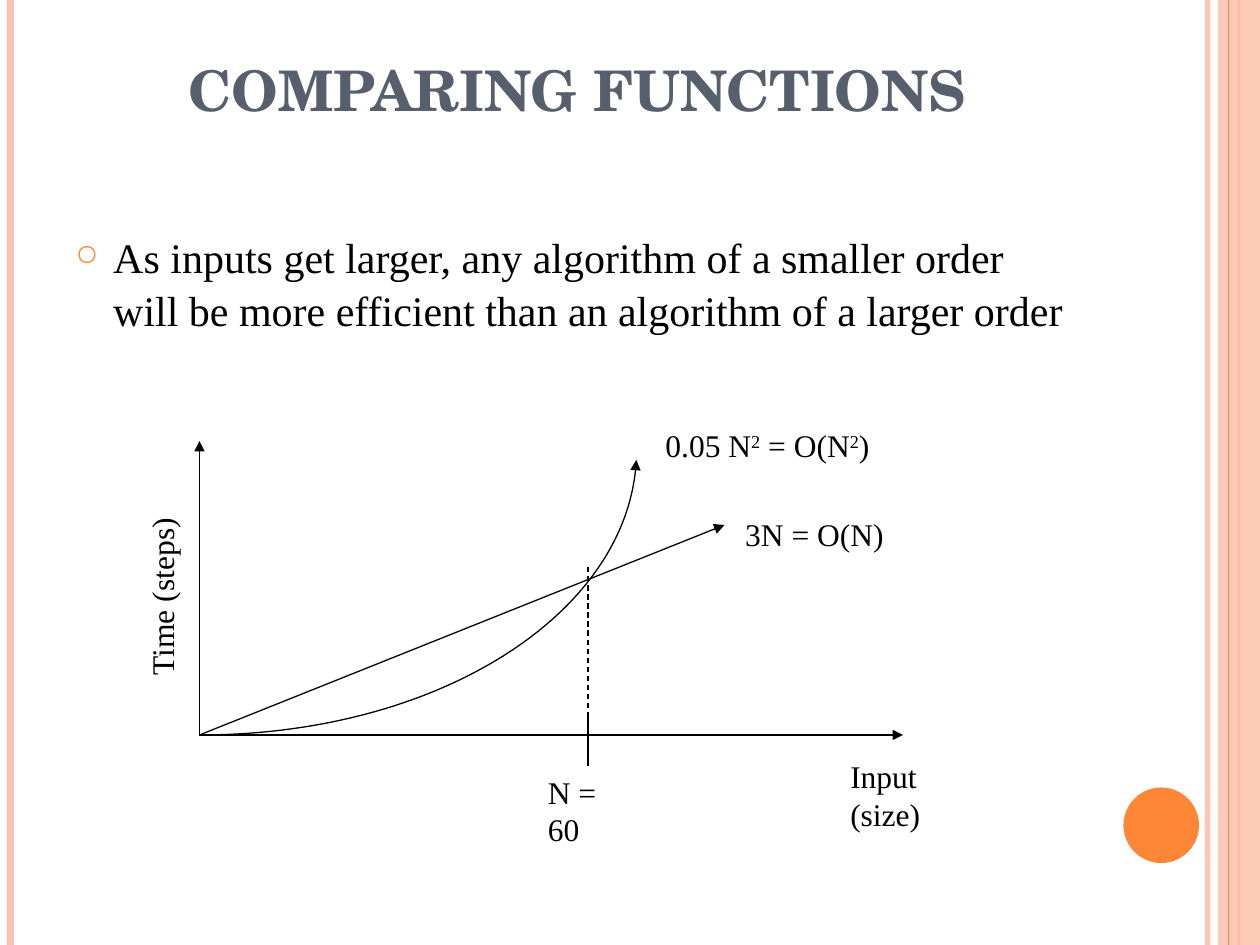
from dataclasses import dataclass

from pptx import Presentation
from pptx.dml.color import RGBColor as Rgb
from pptx.enum.dml import MSO_LINE as Dash
from pptx.enum.shapes import MSO_CONNECTOR as Link, MSO_SHAPE as Kind
from pptx.enum.text import MSO_ANCHOR as Anchor, PP_ALIGN as Align
from pptx.oxml.ns import qn
from pptx.oxml.xmlchemy import OxmlElement as Node
from pptx.util import Inches, Pt

HUES = {"peach": "FEC3AE", "orange": "FE8637", "slate": "575F6D", "ink": "000000"}
SERIF = "Times New Roman"
COLS, ROWS = 120, 90  # square cells, twelve to the inch


@dataclass
class Line:
    x1: float
    y1: float
    x2: float
    y2: float
    hue: str = "ink"
    width: float = 0.75
    arrow: bool = False
    dash: bool = False
    alpha: int = 100


@dataclass
class Label:
    text: str  # parts between carets are superscript
    x: float
    y: float
    wide: float
    turn: int = 0


def cells(n: float) -> int:
    return round(deck.slide_width * n / COLS)


def color(name: str) -> Rgb:
    return Rgb.from_string(HUES[name])


def add(parent, tag: str, **attrs):
    node = Node(tag)
    for key, value in attrs.items():
        node.set(key, str(value))
    parent.append(node)
    return node


def fade(parent, alpha: int) -> None:
    if alpha < 100:
        add(next(parent.iter(qn("a:srgbClr"))), "a:alpha", val=alpha * 1000)


def stroke(line, hue: str = "ink", width: float = 0.75, arrow: bool = False) -> None:
    line.color.rgb = color(hue)
    line.width = Pt(width)
    if arrow:
        add(line._get_or_add_ln(), "a:tailEnd", type="triangle")


def draw_line(item: Line) -> None:
    ends = map(cells, (item.x1, item.y1, item.x2, item.y2))
    link = slide.shapes.add_connector(Link.STRAIGHT, *ends)
    if item.dash:
        link.line.dash_style = Dash.DASH
    stroke(link.line, item.hue, item.width, item.arrow)
    fade(link.line._get_or_add_ln(), item.alpha)
    add(link._element.spPr, "a:effectLst")


def draw_block(kind: Kind, box: tuple, hue: str, alpha: int = 100) -> None:
    shape = slide.shapes.add_shape(kind, *map(cells, box))
    shape.shadow.inherit = False
    shape.fill.solid()
    shape.fill.fore_color.rgb = color(hue)
    shape.line.fill.background()
    fade(shape._element.spPr, alpha)


def draw_curve(*points: tuple) -> None:
    """Draw a cubic curve from a start, two controls and an end."""
    start, *rest = [(cells(x), cells(y)) for x, y in points]
    pen = slide.shapes.build_freeform(*start)
    pen.add_line_segments(rest, close=False)
    shape = pen.convert_to_shape()
    shape.shadow.inherit = False
    shape.fill.background()
    stroke(shape.line, arrow=True)
    route = next(shape._element.iter(qn("a:path")))
    bend = add(route, "a:cubicBezTo")
    for step in route.findall(qn("a:lnTo")):
        bend.append(step[0])
        route.remove(step)


def add_box(box: tuple, wrap: bool = True):
    shape = slide.shapes.add_textbox(*map(cells, box))
    shape.text_frame.word_wrap = wrap
    return shape, shape.text_frame, shape.text_frame.paragraphs[0]


def style(font, size: int, face: str = SERIF, hue: str = "ink", bold: bool = False) -> None:
    font.size, font.name, font.bold = Pt(size), face, bold
    font.color.rgb = color(hue)


def draw_label(item: Label) -> None:
    shape, _, para = add_box((item.x, item.y, item.wide, 4.8), wrap=False)
    shape.rotation = item.turn
    for i, part in enumerate(item.text.split("^")):
        run = para.add_run()
        run.text = part
        style(run.font, 18)
        if i % 2:
            run._r.get_or_add_rPr().set("baseline", "30000")


def draw_title(text: str) -> None:
    _, frame, para = add_box((6, 3.6, 98, 15))
    frame.vertical_anchor = Anchor.BOTTOM
    frame.margin_bottom = Inches(0.58)
    para.text = text
    para.alignment = Align.CENTER
    style(para.runs[0].font, 32, "TeX Gyre Schola", "slate", True)


def draw_body(text: str) -> None:
    _, frame, para = add_box((6, 21, 98, 64))
    frame.margin_top, frame.margin_right = Inches(0.07), Inches(0.2)
    para.text = text
    para.line_spacing = 1.05
    props = para._p.get_or_add_pPr()
    props.set("marL", str(Inches(0.3)))
    props.set("indent", str(-Inches(0.3)))
    add(add(props, "a:buClr"), "a:srgbClr", val=HUES["orange"])
    add(props, "a:buSzPct", val=70000)
    add(props, "a:buChar", char="○")
    style(para.runs[0].font, 24)


deck = Presentation()
deck.slide_width, deck.slide_height = Inches(10), Inches(7.5)
slide = deck.slides.add_slide(deck.slide_layouts[6])

# Side rails and disc
for rail in (
    Line(115, 0, 115, ROWS, "peach", 3, alpha=93),
    Line(1, 0, 1, ROWS, "peach", 4.5),
    Line(118, 0, 118, ROWS, "orange", 1.5),
):
    draw_line(rail)
draw_block(Kind.RECTANGLE, (116, 0, 4, ROWS), "peach", 87)
draw_line(Line(117, 0, 117, ROWS, "orange"))
draw_block(Kind.OVAL, (107, 75, 7.2, 7.2), "orange")

# Heading and statement
draw_title("COMPARING FUNCTIONS")
draw_body("As inputs get larger, any algorithm of a smaller order "
          "will be more efficient than an algorithm of a larger order")

# Graph: axes, linear and quadratic growth, crossing point
LEFT, BASE, CROSS = 19, 70, 56
for line in (
    Line(LEFT, BASE, LEFT, 42, arrow=True),
    Line(LEFT, BASE, 86, BASE, arrow=True),
    Line(LEFT, BASE, 69, 50, arrow=True),
    Line(CROSS, 68, CROSS, 73),
    Line(CROSS, BASE, CROSS, 54, dash=True),
):
    draw_line(line)
draw_curve((LEFT, BASE), (41.5, BASE), (59.9, 58.3), (60.6, 43.8))

# Graph labels
for label in (
    Label("Time (steps)", 6.7, 54.4, 17.4, 270),
    Label("Input (size)", 79.8, 71.5, 16.1),
    Label("3N = O(N)", 69.8, 48.5, 15.6),
    Label("0.05 N^2^ = O(N^2^)", 62.2, 40, 21.8),
    Label("N = 60", 51, 73, 10.7),
):
    draw_label(label)

deck.save("out.pptx")
